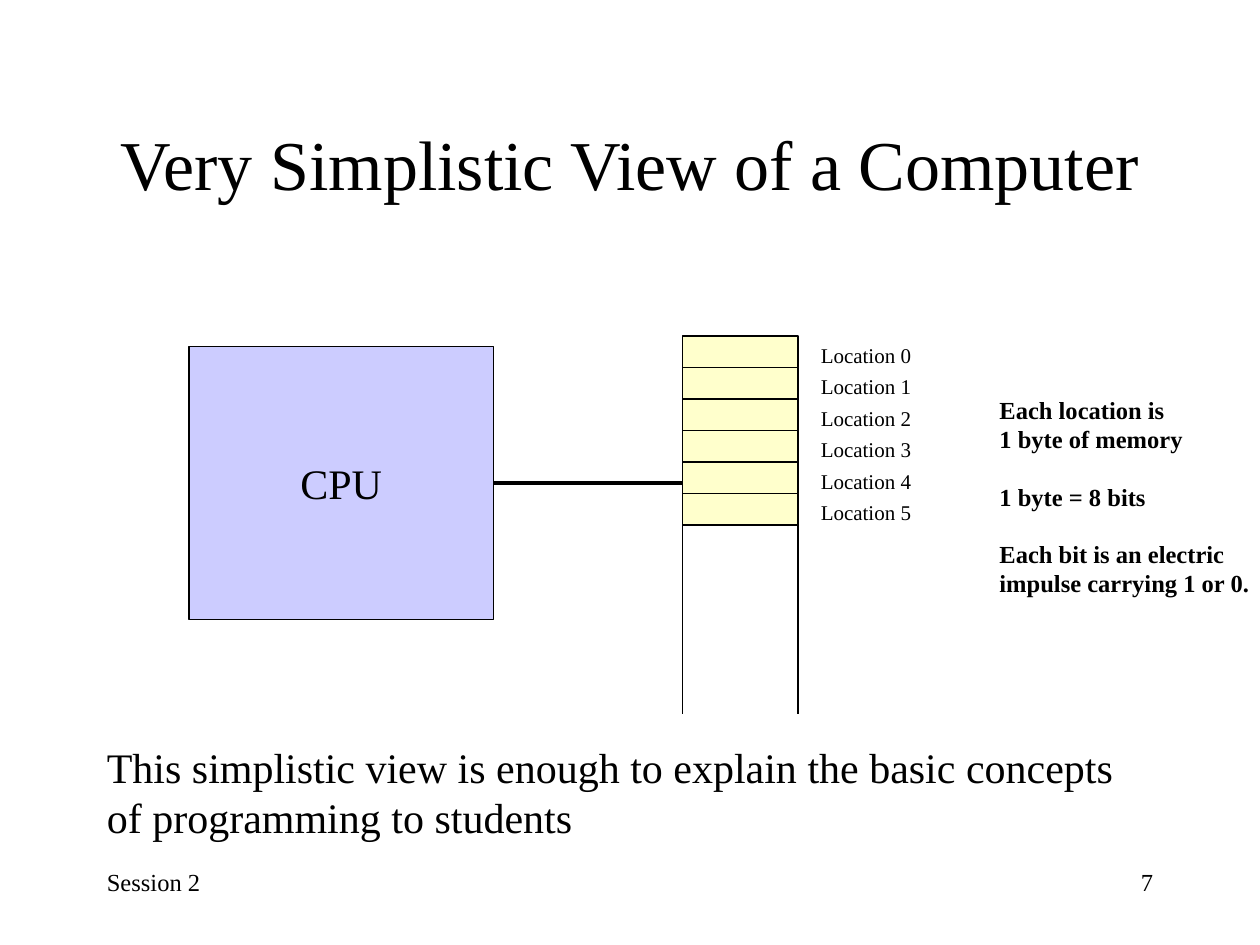
"""Build the slide that shows a CPU joined to numbered memory locations."""
from lxml.etree import SubElement
from pptx import Presentation
from pptx.dml.color import RGBColor
from pptx.enum.shapes import MSO_CONNECTOR, MSO_SHAPE
from pptx.enum.text import MSO_ANCHOR, PP_ALIGN
from pptx.oxml.ns import qn
from pptx.util import Pt

TITLE = "Very Simplistic View of a Computer"
LOCATIONS = [f"Location {number}" for number in range(6)]
MEMORY_NOTES = [
    ["Each location is", "1 byte of memory"],
    ["1 byte = 8 bits"],
    ["Each bit is an electric", "impulse carrying 1 or 0."],
]
SUMMARY = [
    "This simplistic view is enough to explain the basic concepts",
    "of programming to students",
]

BLACK = RGBColor(0x00, 0x00, 0x00)
LAVENDER = RGBColor(0xCC, 0xCC, 0xFF)
CREAM = RGBColor(0xFF, 0xFF, 0xCC)
FONT = "Times New Roman"
PX = 7620

CPU_LEFT, CPU_TOP, CPU_WIDTH, CPU_HEIGHT = 180, 330, 290, 260
MEMORY_LEFT, MEMORY_TOP, MEMORY_WIDTH = 650, 320, 110
ROW_HEIGHT, LABEL_LEFT, LABEL_HEIGHT = 30, 770, 36
OPEN_HEIGHT = 180


def write(holder, groups, size=14, bold=False, align=PP_ALIGN.LEFT,
          anchor=MSO_ANCHOR.TOP, wrap=True, gap=0):
    frame = holder.text_frame
    frame.word_wrap = wrap
    frame.vertical_anchor = anchor
    paragraph = None
    for group_index, lines in enumerate(groups):
        for line_index, line in enumerate(lines):
            paragraph = frame.add_paragraph() if paragraph else frame.paragraphs[0]
            paragraph.alignment = align
            if group_index and not line_index:
                paragraph.space_before = Pt(gap)
            run = paragraph.add_run()
            run.text = line
            run.font.name = FONT
            run.font.size = Pt(size)
            run.font.bold = bold
            run.font.color.rgb = BLACK


def add_text(slide, box, groups, **text_format):
    holder = slide.shapes.add_textbox(*(value * PX for value in box))
    write(holder, groups, **text_format)


def add_block(slide, box, fill):
    block = slide.shapes.add_shape(MSO_SHAPE.RECTANGLE, *(value * PX for value in box))
    block.shadow.inherit = False
    block.fill.solid()
    block.fill.fore_color.rgb = fill
    block.line.color.rgb = BLACK
    block.line.width = Pt(0.75)
    return block


def add_line(slide, ends, width):
    line = slide.shapes.add_connector(
        MSO_CONNECTOR.STRAIGHT, *(value * PX for value in ends))
    line.line.color.rgb = BLACK
    line.line.width = Pt(width)
    SubElement(line._element.spPr, qn("a:effectLst"))
    return line


def main():
    deck = Presentation()
    deck.slide_width, deck.slide_height = 1200 * PX, 900 * PX
    slide = deck.slides.add_slide(deck.slide_layouts[6])

    add_text(slide, (90, 820, 250, 60), [["Session 2"]])
    add_text(slide, (860, 820, 250, 60), [["7"]], align=PP_ALIGN.RIGHT)
    add_text(slide, (90, 80, 1020, 150), [[TITLE]], size=40,
             align=PP_ALIGN.CENTER, anchor=MSO_ANCHOR.MIDDLE)

    cpu = add_block(slide, (CPU_LEFT, CPU_TOP, CPU_WIDTH, CPU_HEIGHT), LAVENDER)
    write(cpu, [["CPU"]], size=24, align=PP_ALIGN.CENTER,
          anchor=MSO_ANCHOR.MIDDLE, wrap=False)

    for row, location in enumerate(LOCATIONS):
        top = MEMORY_TOP + row * ROW_HEIGHT
        add_block(slide, (MEMORY_LEFT, top, MEMORY_WIDTH, ROW_HEIGHT), CREAM)
        add_text(slide, (LABEL_LEFT, top, MEMORY_WIDTH, LABEL_HEIGHT),
                 [[location]], size=12, wrap=False)

    open_top = MEMORY_TOP + len(LOCATIONS) * ROW_HEIGHT
    for edge in (MEMORY_LEFT + MEMORY_WIDTH, MEMORY_LEFT):
        add_line(slide, (edge, open_top, edge, open_top + OPEN_HEIGHT), 1)

    bus_y = CPU_TOP + CPU_HEIGHT // 2
    bus = add_line(slide, (CPU_LEFT + CPU_WIDTH, bus_y, MEMORY_LEFT, bus_y), 2.25)
    bus.begin_connect(cpu, 3)

    add_text(slide, (940, 370, 340, 208), MEMORY_NOTES, bold=True, gap=16)
    add_text(slide, (90, 700, 991, 156), [SUMMARY], size=24, wrap=False)
    deck.save("out.pptx")


if __name__ == "__main__":
    main()
